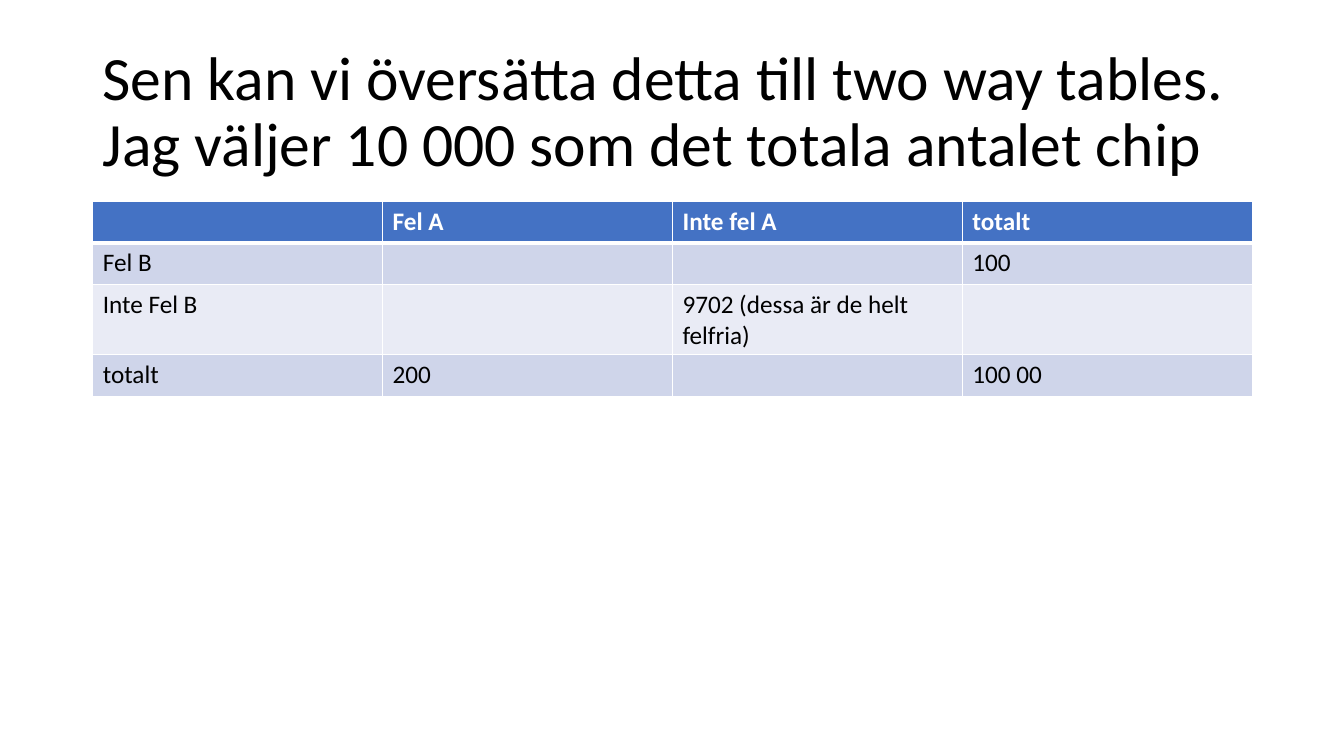
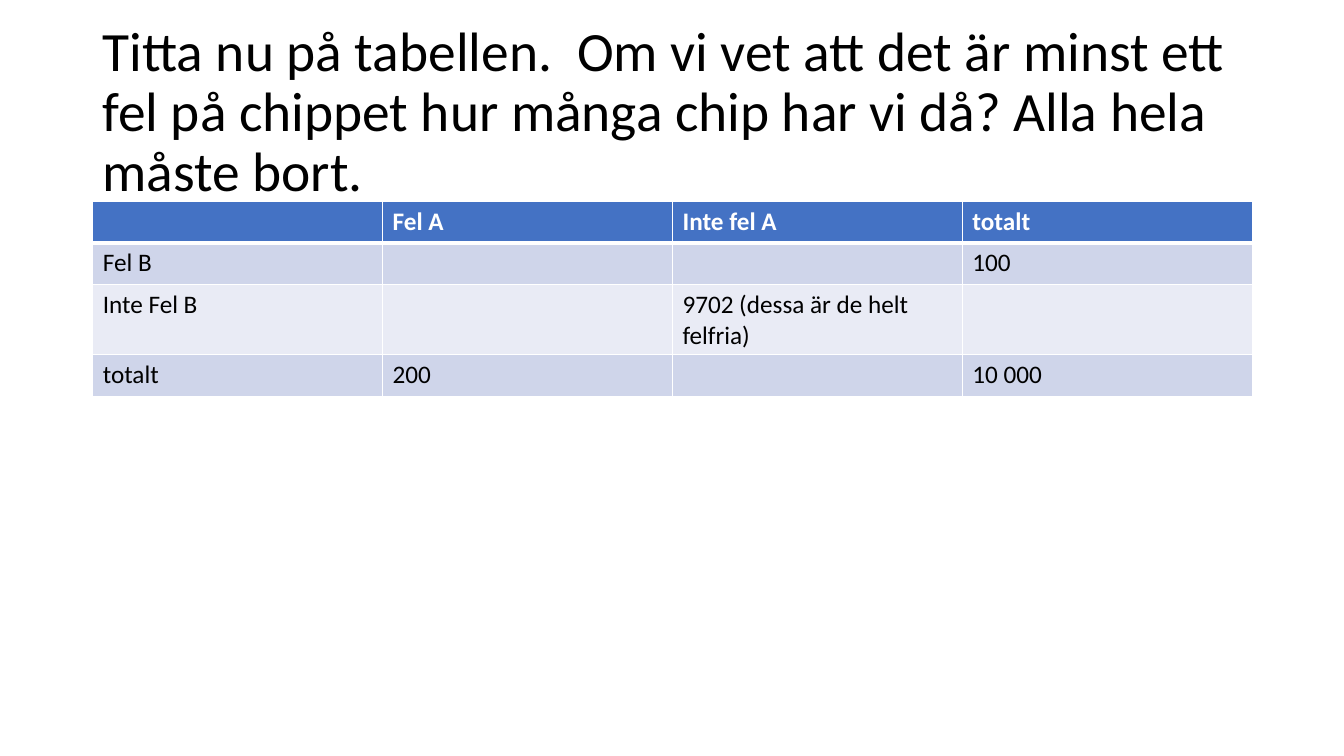
from lxml import etree
from pptx import Presentation
from pptx import util as u
from pptx.dml.color import RGBColor
from pptx.enum import text
from pptx.oxml.ns import qn

FONT = "Calibri"
BLACK, WHITE = "000000", "FFFFFF"
HEADER_FILL = "4472C4"
BAND_FILLS = ["CFD5EA", "E9EBF5"]
LEFT, WIDTH = u.Inches(0.92), u.Inches(11.5)
TITLE_TOP, TITLE_HEIGHT = u.Inches(0.4), u.Inches(1.45)
TABLE_TOP, ROW_HEIGHT = u.Inches(2), u.Inches(0.41)
THIN, THICK = 1, 3

SLIDES = [
    {
        "title": "Sen kan vi översätta detta till two way tables.\vJag väljer 10 000 som det totala antalet chip",
        "size": 44,
        "total": "100 00",
    },
    {
        "title": "Titta nu på tabellen.  Om vi vet att det är minst ett fel på chippet hur många chip har vi då? Alla hela måste bort.",
        "size": 39.6,
        "total": "10 000",
    },
]


def two_way_rows(total):
    return [
        ["", "Fel A", "Inte fel A", "totalt"],
        ["Fel B", "", "", "100"],
        ["Inte Fel B", "", "9702 (dessa är de helt felfria)", ""],
        ["totalt", "200", "", total],
    ]


def color(hex_value):
    return RGBColor.from_string(hex_value)


def style_font(font, size, hex_value, bold=False):
    font.name = FONT
    font.size = u.Pt(size)
    font.bold = bold
    font.color.rgb = color(hex_value)


def add_title(slide, title, size):
    box = slide.shapes.add_textbox(LEFT, TITLE_TOP, WIDTH, TITLE_HEIGHT)
    frame = box.text_frame
    frame.word_wrap = True
    frame.vertical_anchor = text.MSO_ANCHOR.MIDDLE
    frame.text = title
    paragraph = frame.paragraphs[0]
    paragraph.line_spacing = 0.9
    style_font(paragraph.font, size, BLACK)


def set_borders(cell, top, bottom):
    properties = cell._tc.get_or_add_tcPr()
    for side, points in [("L", THIN), ("R", THIN), ("T", top), ("B", bottom)]:
        line = etree.SubElement(properties, qn(f"a:ln{side}"), w=str(u.Pt(points)))
        fill = etree.SubElement(line, qn("a:solidFill"))
        etree.SubElement(fill, qn("a:srgbClr"), val=WHITE)


def style_cell(cell, row_index):
    is_header = row_index == 0
    set_borders(cell, THICK if row_index == 1 else THIN, THICK if is_header else THIN)
    band = BAND_FILLS[(row_index - 1) % len(BAND_FILLS)]
    cell.fill.solid()
    cell.fill.fore_color.rgb = color(HEADER_FILL if is_header else band)
    style_font(cell.text_frame.paragraphs[0].font, 18, WHITE if is_header else BLACK, is_header)


def add_two_way_table(slide, rows):
    height = ROW_HEIGHT * len(rows)
    frame = slide.shapes.add_table(len(rows), len(rows[0]), LEFT, TABLE_TOP, WIDTH, height)
    for row_index, row in enumerate(rows):
        for column_index, value in enumerate(row):
            cell = frame.table.cell(row_index, column_index)
            cell.text = value
            style_cell(cell, row_index)


def main():
    presentation = Presentation()
    presentation.slide_width = u.Inches(13.33)
    presentation.slide_height = u.Inches(7.5)
    for content in SLIDES:
        slide = presentation.slides.add_slide(presentation.slide_layouts[6])
        add_title(slide, content["title"], content["size"])
        add_two_way_table(slide, two_way_rows(content["total"]))
    presentation.save("out.pptx")


if __name__ == "__main__":
    main()
